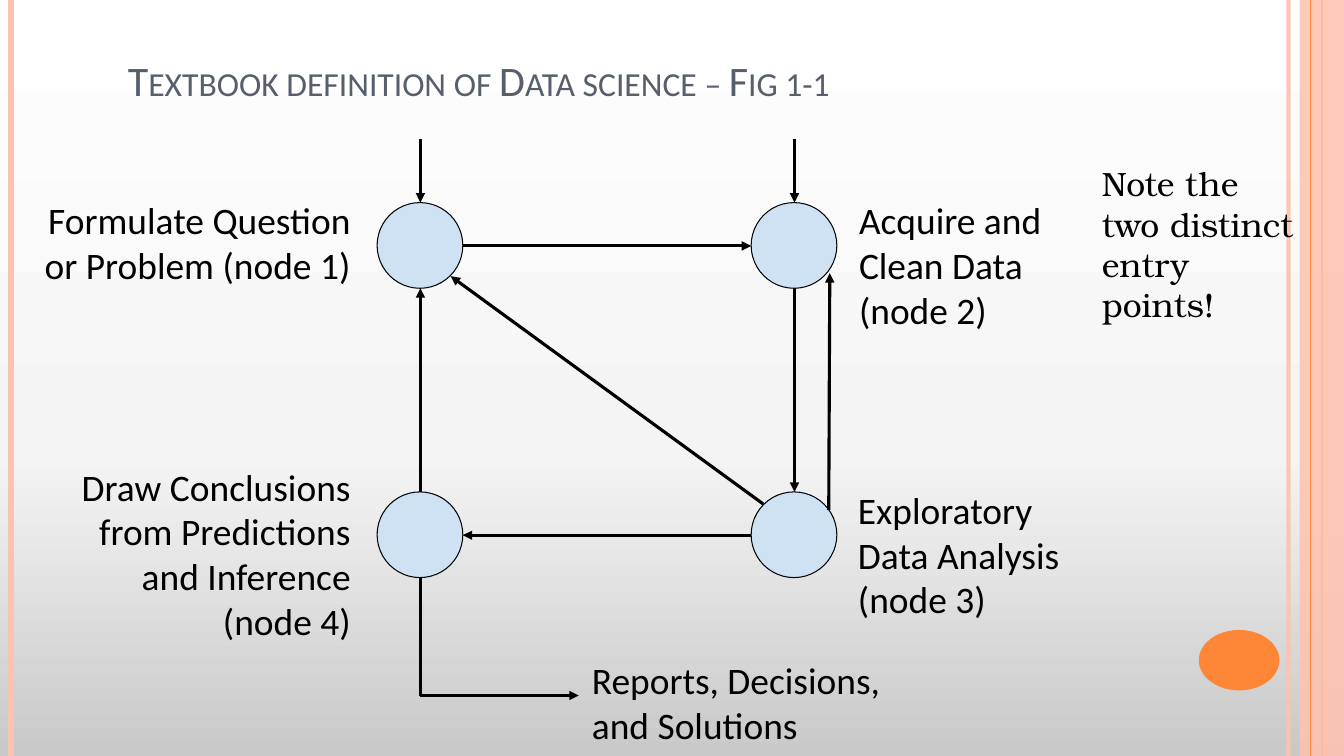
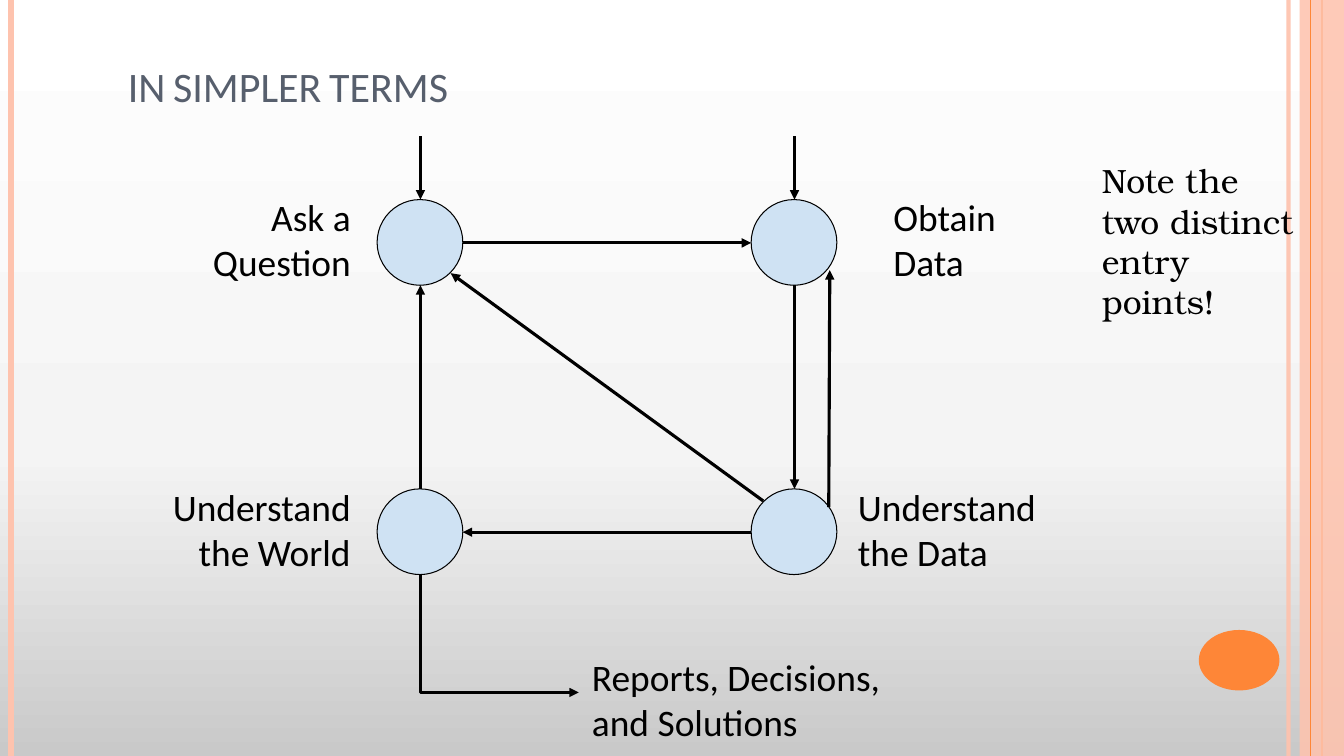
from copy import deepcopy
from dataclasses import dataclass

from lxml.etree import SubElement
from pptx import Presentation
from pptx.dml.color import RGBColor
from pptx.enum.shapes import MSO_CONNECTOR, MSO_SHAPE
from pptx.enum.text import MSO_ANCHOR, PP_ALIGN
from pptx.oxml.ns import qn
from pptx.shapes.autoshape import Shape
from pptx.shapes.connector import Connector
from pptx.slide import Slide
from pptx.util import Emu, Pt

EMU_PER_PX = 9144
SLIDE_WIDTH, SLIDE_HEIGHT = 1333, 750
NODE_SIZE = 85
LEFT_NODE, RIGHT_NODE = 374, 745
ROW_GAP = 287
LEFT_AXIS, RIGHT_AXIS = 417, 788
LEFT_LABEL_EDGE = 361


@dataclass(frozen=True)
class Theme:
    peach: str = "FEC3AE"
    orange: str = "FE8637"
    node: str = "CFE2F3"
    ink: str = "000000"
    title: str = "575F6D"
    background: tuple[tuple[float, str], ...] = ((0, "C9C9C9"), (0.4, "F4F4F4"), (1, "FFFFFF"))
    font: str = "Calibri"
    note_font: str = "TeX Gyre Bonum"
    title_size: float = 30
    label_size: float = 26.7
    note_size: float = 24
    node_line: float = 0.75
    arrow_line: float = 2.25


THEME = Theme()


@dataclass(frozen=True)
class Box:
    left: int
    top: int
    width: int
    height: int

    def emu(self) -> tuple[Emu, ...]:
        return tuple(px(value) for value in (self.left, self.top, self.width, self.height))


@dataclass(frozen=True)
class Style:
    font: str
    size: float
    color: str
    small_caps: bool = False
    line_spacing: float | None = None
    anchor: MSO_ANCHOR = MSO_ANCHOR.TOP
    inset: tuple[int, int] = (13, 13)


@dataclass(frozen=True)
class Stripe:
    x: int
    color: str
    weight: float
    opacity: int = 100


@dataclass(frozen=True)
class Arrow:
    start: tuple[int, int]
    end: tuple[int, int]


@dataclass(frozen=True)
class Label:
    paragraphs: tuple[str, ...]
    box: Box
    align: PP_ALIGN = PP_ALIGN.LEFT


@dataclass(frozen=True)
class CycleSlide:
    title: str
    title_top: int
    top: int
    labels: tuple[Label, ...]


TITLE_STYLE = Style(THEME.font, THEME.title_size, THEME.title, True, 0.9, MSO_ANCHOR.MIDDLE, (10, 5))
LABEL_STYLE = Style(THEME.font, THEME.label_size, THEME.ink)
NOTE_STYLE = Style(THEME.note_font, THEME.note_size, THEME.ink)

STRIPES_BELOW = (
    Stripe(1278, THEME.peach, 3, 93),
    Stripe(11, THEME.peach, 4.5),
    Stripe(1311, THEME.orange, 1.5),
)
STRIPE_ABOVE = Stripe(1300, THEME.orange, 0.75)

MIDDLE = NODE_SIZE // 2 + 1
ARROWS = (
    Arrow((LEFT_AXIS, -63), (LEFT_AXIS, 0)),
    Arrow((RIGHT_AXIS, -63), (RIGHT_AXIS, 0)),
    Arrow((LEFT_NODE + NODE_SIZE, MIDDLE), (RIGHT_NODE, MIDDLE)),
    Arrow((RIGHT_AXIS, NODE_SIZE), (RIGHT_AXIS, ROW_GAP)),
    Arrow((757, 299), (447, 73)),
    Arrow((RIGHT_NODE, ROW_GAP + MIDDLE), (LEFT_NODE + NODE_SIZE, ROW_GAP + MIDDLE)),
    Arrow((LEFT_AXIS, ROW_GAP), (LEFT_AXIS, NODE_SIZE)),
    Arrow((822, 305), (823, 70)),
)
REPORTS_ARROW = Arrow((LEFT_AXIS, ROW_GAP + NODE_SIZE), (574, 489))
REPORTS = Label(("Reports, Decisions, and Solutions",), Box(574, 438, 321, 99))
NOTE = Label(("Note the two distinct entry points!",), Box(1080, -52, 220, 117))


def px(value: int) -> Emu:
    return Emu(value * EMU_PER_PX)


def left_label(top: int, width: int, height: int, *paragraphs: str) -> Label:
    return Label(paragraphs, Box(LEFT_LABEL_EDGE - width, top, width, height), PP_ALIGN.RIGHT)


def set_opacity(element, percent: int) -> None:
    if percent < 100:
        for color in element.iter(qn("a:srgbClr")):
            SubElement(color, qn("a:alpha")).set("val", str(percent * 1000))


def paint_background(slide: Slide) -> None:
    fill = slide.background.fill
    fill.gradient()
    fill.gradient_angle = 90
    stop_list = slide.background._cSld.find(".//" + qn("a:gsLst"))
    stop_list.append(deepcopy(stop_list[0]))
    for stop, (position, color) in zip(fill.gradient_stops, THEME.background):
        stop.position = position
        stop.color.rgb = RGBColor.from_string(color)


def add_filled(slide: Slide, kind: MSO_SHAPE, box: Box, fill: str, outline: str | None = None) -> Shape:
    shape = slide.shapes.add_shape(kind, *box.emu())
    shape.shadow.inherit = False
    shape.fill.solid()
    shape.fill.fore_color.rgb = RGBColor.from_string(fill)
    if outline is None:
        shape.line.fill.background()
    else:
        shape.line.color.rgb = RGBColor.from_string(outline)
        shape.line.width = Pt(THEME.node_line)
    return shape


def add_line(slide: Slide, box: Box, color: str, weight: float, arrow: bool = False) -> Connector:
    connector = slide.shapes.add_connector(
        MSO_CONNECTOR.STRAIGHT,
        px(box.left), px(box.top), px(box.left + box.width), px(box.top + box.height),
    )
    connector.line.color.rgb = RGBColor.from_string(color)
    connector.line.width = Pt(weight)
    if arrow:
        SubElement(connector.line._get_or_add_ln(), qn("a:tailEnd")).set("type", "triangle")
    SubElement(connector._element.spPr, qn("a:effectLst"))
    return connector


def add_stripe(slide: Slide, stripe: Stripe) -> None:
    connector = add_line(slide, Box(stripe.x, 0, 0, SLIDE_HEIGHT), stripe.color, stripe.weight)
    set_opacity(connector._element, stripe.opacity)


def add_arrow(slide: Slide, arrow: Arrow, top: int) -> None:
    (x, y), (end_x, end_y) = arrow.start, arrow.end
    add_line(slide, Box(x, top + y, end_x - x, end_y - y), THEME.ink, THEME.arrow_line, True)


def add_down_then_right_arrow(slide: Slide, arrow: Arrow, top: int) -> None:
    (x, y), (end_x, end_y) = arrow.start, arrow.end
    across, down = end_x - x, end_y - y
    shift = (across - down) // 2
    box = Box(x + shift, top + y - shift, down, across)
    connector = add_line(slide, box, THEME.ink, THEME.arrow_line, True)
    properties = connector._element.spPr
    properties.find(qn("a:xfrm")).set("rot", "16200000")
    properties.find(qn("a:xfrm")).set("flipH", "1")
    properties.find(qn("a:prstGeom")).set("prst", "bentConnector2")


def add_label(slide: Slide, label: Label, style: Style, top: int = 0) -> None:
    box = Box(label.box.left, top + label.box.top, label.box.width, label.box.height)
    frame = slide.shapes.add_textbox(*box.emu()).text_frame
    frame.word_wrap = True
    frame.vertical_anchor = style.anchor
    frame.margin_left = frame.margin_right = px(style.inset[0])
    frame.margin_top = frame.margin_bottom = px(style.inset[1])
    for index, text in enumerate(label.paragraphs):
        paragraph = frame.add_paragraph() if index else frame.paragraphs[0]
        paragraph.alignment = label.align
        paragraph.line_spacing = style.line_spacing
        run = paragraph.add_run()
        run.text = text
        run.font.name = style.font
        run.font.size = Pt(style.size)
        run.font.color.rgb = RGBColor.from_string(style.color)
        if style.small_caps:
            run._r.get_or_add_rPr().set("cap", "small")


def add_frame(slide: Slide) -> None:
    paint_background(slide)
    for stripe in STRIPES_BELOW:
        add_stripe(slide, stripe)
    band = add_filled(slide, MSO_SHAPE.RECTANGLE, Box(1289, 0, 44, SLIDE_HEIGHT), THEME.peach)
    set_opacity(band._element, 87)
    add_stripe(slide, STRIPE_ABOVE)
    add_filled(slide, MSO_SHAPE.OVAL, Box(1189, 625, 80, 60), THEME.orange)


def add_cycle(slide: Slide, content: CycleSlide) -> None:
    add_label(slide, Label((content.title,), Box(117, content.title_top, 1100, 176)), TITLE_STYLE)
    for row in (0, ROW_GAP):
        for left in (LEFT_NODE, RIGHT_NODE):
            box = Box(left, content.top + row, NODE_SIZE, NODE_SIZE)
            add_filled(slide, MSO_SHAPE.OVAL, box, THEME.node, THEME.ink)
    for arrow in ARROWS:
        add_arrow(slide, arrow, content.top)
    add_down_then_right_arrow(slide, REPORTS_ARROW, content.top)
    for label in (*content.labels, REPORTS):
        add_label(slide, label, LABEL_STYLE, content.top)
    add_label(slide, NOTE, NOTE_STYLE, content.top)


SLIDES = (
    CycleSlide(
        "Textbook definition of Data science – Fig 1-1", -6, 201,
        (
            left_label(-18, 337, 99, "Formulate Question or Problem (node 1)"),
            Label(("Acquire and Clean Data", "(node 2)"), Box(839, -18, 216, 151)),
            Label(("Exploratory Data Analysis", "(node 3)"), Box(838, 269, 230, 151)),
            left_label(246, 297, 227, "Draw Conclusions from Predictions and Inference", "(node 4)"),
        ),
    ),
    CycleSlide(
        "IN SIMPLER TERMS", 0, 198,
        (
            left_label(-18, 199, 99, "Ask a Question"),
            Label(("Obtain Data",), Box(873, -18, 169, 99)),
            Label(("Understand the Data",), Box(838, 269, 216, 99)),
            left_label(269, 244, 99, "Understand the World"),
        ),
    ),
)


def main() -> None:
    presentation = Presentation()
    presentation.slide_width = px(SLIDE_WIDTH)
    presentation.slide_height = px(SLIDE_HEIGHT)
    for content in SLIDES:
        slide = presentation.slides.add_slide(presentation.slide_layouts[6])
        add_frame(slide)
        add_cycle(slide, content)
    presentation.save("out.pptx")


if __name__ == "__main__":
    main()
